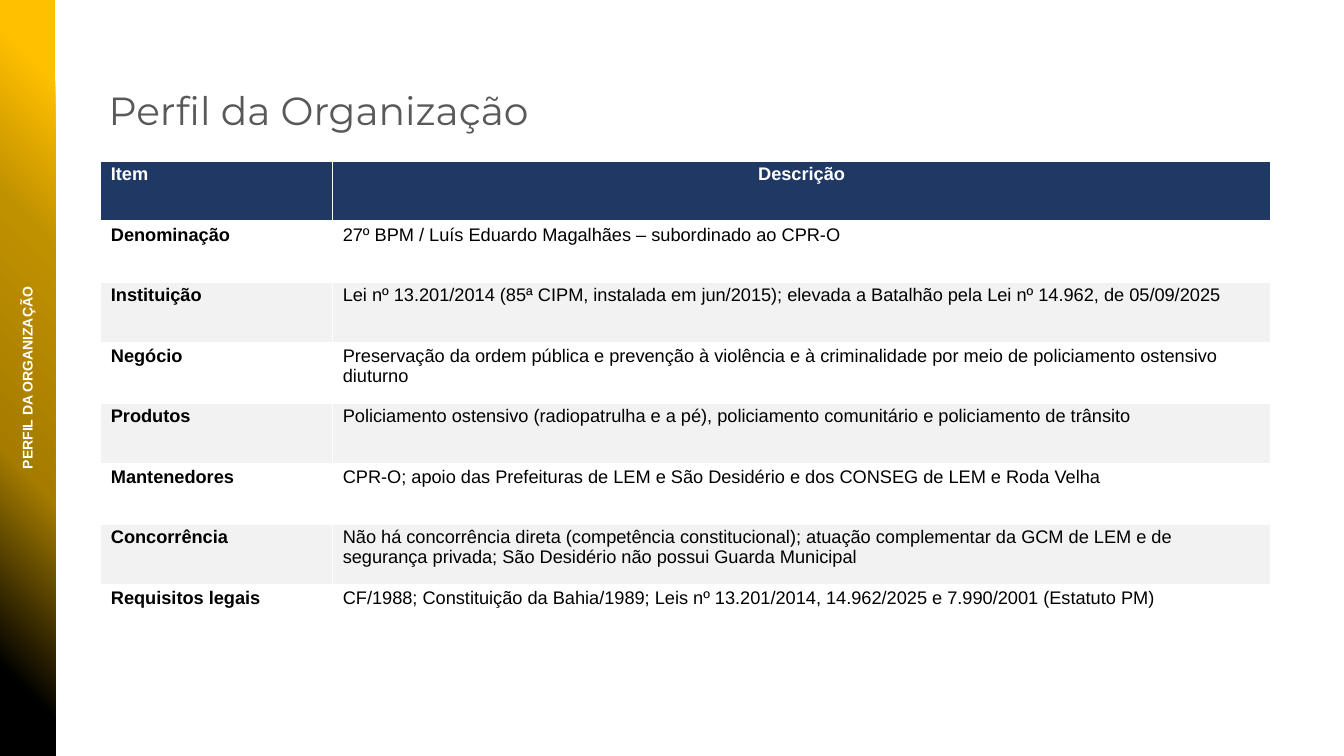
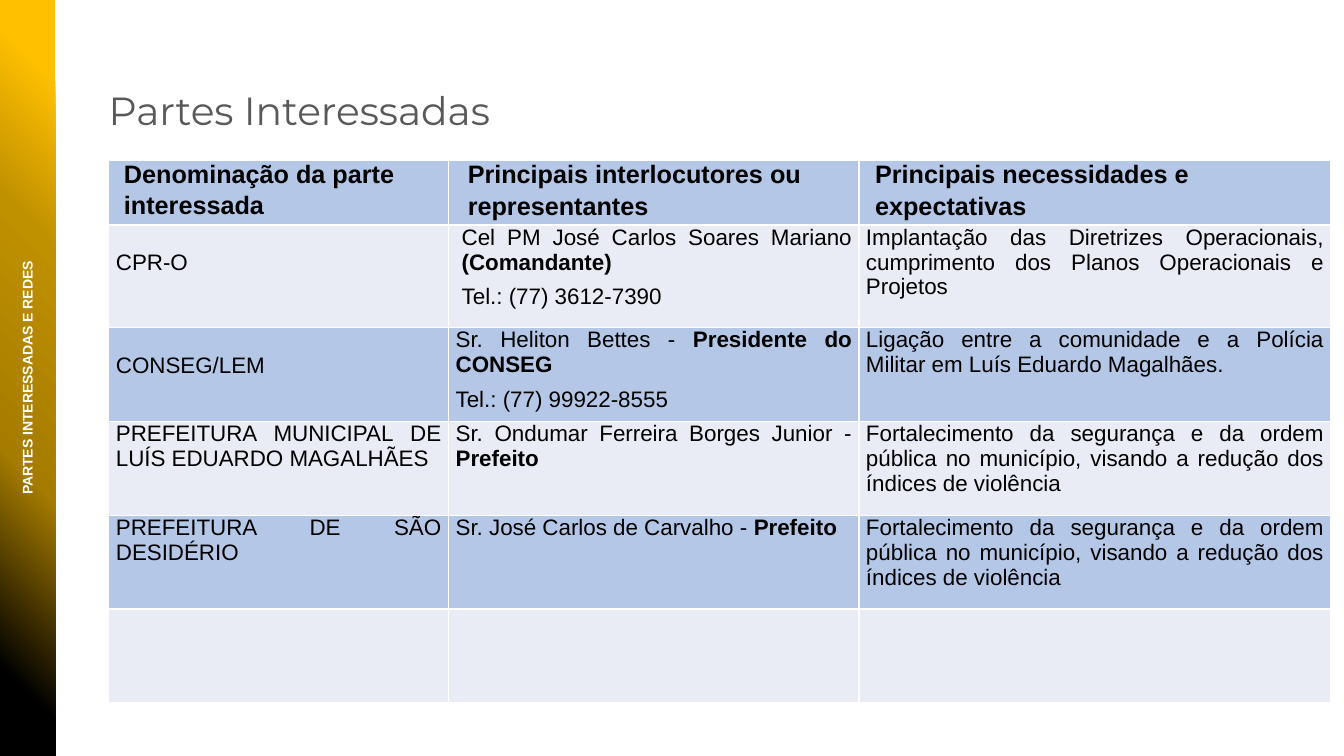
from pptx import Presentation
from pptx.dml.color import RGBColor
from pptx.enum.shapes import MSO_SHAPE
from pptx.enum.text import MSO_AUTO_SIZE, PP_ALIGN
from pptx.oxml import parse_xml
from pptx.oxml.ns import nsdecls, qn
from pptx.util import Pt

EMU_PER_PX = 9144  # 100 px to the inch
SLIDE_WIDTH, SLIDE_HEIGHT = 1333, 750
BAND_WIDTH = 55

BLACK = RGBColor(0x00, 0x00, 0x00)
WHITE = RGBColor(0xFF, 0xFF, 0xFF)
TITLE_GRAY = RGBColor(0x59, 0x59, 0x59)
NAVY = RGBColor(0x1F, 0x38, 0x64)
STRIPE_GRAY = RGBColor(0xF2, 0xF2, 0xF2)
LIGHT_BLUE = RGBColor(0xB4, 0xC7, 0xE7)
PALE_BLUE = RGBColor(0xE9, 0xEB, 0xF5)
DARK_GOLD = RGBColor(0xA5, 0x7C, 0x00)
MID_GOLD = RGBColor(0xBF, 0x90, 0x00)
GOLD = RGBColor(0xFF, 0xC0, 0x00)
BAND_STOPS = [(0, BLACK), (11, BLACK), (38, DARK_GOLD),
              (69, MID_GOLD), (90, GOLD), (100, GOLD)]

BODY_FONT, TITLE_FONT = "Arial", "Montserrat"

PROFILE_ROWS = [
    ("Item", "Descrição"),
    ("Denominação", "27º BPM / Luís Eduardo Magalhães – subordinado ao CPR-O"),
    ("Instituição", "Lei nº 13.201/2014 (85ª CIPM, instalada em jun/2015); "
                    "elevada a Batalhão pela Lei nº 14.962, de 05/09/2025"),
    ("Negócio", "Preservação da ordem pública e prevenção à violência e à "
                "criminalidade por meio de policiamento ostensivo diuturno"),
    ("Produtos", "Policiamento ostensivo (radiopatrulha e a pé), "
                 "policiamento comunitário e policiamento de trânsito"),
    ("Mantenedores", "CPR-O; apoio das Prefeituras de LEM e São Desidério "
                     "e dos CONSEG de LEM e Roda Velha"),
    ("Concorrência", "Não há concorrência direta (competência constitucional); "
                     "atuação complementar da GCM de LEM e de segurança privada; "
                     "São Desidério não possui Guarda Municipal"),
    ("Requisitos legais", "CF/1988; Constituição da Bahia/1989; Leis nº 13.201/2014, "
                          "14.962/2025 e 7.990/2001 (Estatuto PM)"),
]

CITY_HALL_NEEDS = ("Fortalecimento da segurança e da ordem pública no município, "
                   "visando a redução dos índices de violência")
STAKEHOLDER_ROWS = [
    ("Denominação da parte\ninteressada",
     "Principais interlocutores ou\nrepresentantes",
     "Principais necessidades e\nexpectativas"),
    ("CPR-O",
     "Cel PM José Carlos Soares Mariano *(Comandante)*\nTel.: (77) 3612-7390",
     "Implantação das Diretrizes Operacionais, cumprimento dos Planos "
     "Operacionais e Projetos"),
    ("CONSEG/LEM",
     "Sr. Heliton Bettes - *Presidente do CONSEG*\nTel.: (77) 99922-8555",
     "Ligação entre a comunidade e a Polícia Militar em Luís Eduardo Magalhães."),
    ("PREFEITURA MUNICIPAL DE LUÍS EDUARDO MAGALHÃES",
     "Sr. Ondumar Ferreira Borges Junior - *Prefeito*", CITY_HALL_NEEDS),
    ("PREFEITURA DE SÃO DESIDÉRIO",
     "Sr. José Carlos de Carvalho - *Prefeito*", CITY_HALL_NEEDS),
    ("", "", ""),
]
STAKEHOLDER_INDENTS = {(0, 0): 8, (0, 1): 12, (0, 2): 9, (1, 1): 6}
LOWERED_CELLS = {(1, 0), (2, 0)}


def px(value):
    return value * EMU_PER_PX


def write_text(text_frame, text, size, font=BODY_FONT, color=BLACK, bold=False,
               align=PP_ALIGN.LEFT, indent=0, gap=0):
    """Write one paragraph per line; parts between asterisks are bold."""
    for index, line in enumerate(text.split("\n")):
        paragraph = text_frame.paragraphs[0] if index == 0 else text_frame.add_paragraph()
        paragraph.alignment = align
        if indent:
            paragraph._p.get_or_add_pPr().set("marL", str(px(indent)))
        if index and gap:
            paragraph.space_before = Pt(gap)
        for position, part in enumerate(line.split("*")):
            if not part:
                continue
            run = paragraph.add_run()
            run.text = part
            run.font.name = font
            run.font.size = Pt(size)
            run.font.color.rgb = color
            run.font.bold = bold or position % 2 == 1


def add_text_box(slide, left, top, width, height, text, rotation=0, **text_format):
    box = slide.shapes.add_textbox(px(left), px(top), px(width), px(height))
    box.rotation = rotation
    box.text_frame.word_wrap = True
    box.text_frame.auto_size = MSO_AUTO_SIZE.SHAPE_TO_FIT_TEXT
    write_text(box.text_frame, text, **text_format)


def add_side_band(slide):
    """Draw the band with a gradient spreading from its bottom left corner."""
    band = slide.shapes.add_shape(MSO_SHAPE.RECTANGLE, 0, 0, px(BAND_WIDTH), px(SLIDE_HEIGHT))
    band.shadow.inherit = False
    band.line.fill.background()
    band.fill.background()
    stops = "".join(f'<a:gs pos="{percent * 1000}"><a:srgbClr val="{color}"/></a:gs>'
                    for percent, color in BAND_STOPS)
    gradient = parse_xml(
        f'<a:gradFill {nsdecls("a")} rotWithShape="1"><a:gsLst>{stops}</a:gsLst>'
        '<a:path path="circle"><a:fillToRect t="100000" r="100000"/></a:path></a:gradFill>')
    properties = band._element.spPr
    properties.replace(properties.find(qn("a:noFill")), gradient)


def add_titled_slide(presentation, title, section):
    slide = presentation.slides.add_slide(presentation.slide_layouts[6])
    add_side_band(slide)
    add_text_box(slide, 98, 81, 951, 57, title, size=28, font=TITLE_FONT, color=TITLE_GRAY)
    add_text_box(slide, -266, 361, 587, 28, section, rotation=270, size=10,
                 color=WHITE, bold=True, align=PP_ALIGN.CENTER)
    return slide


def set_cell_borders(cell, bottom_width=1):
    properties = cell._tc.get_or_add_tcPr()
    for index, side in enumerate("LRTB"):
        width = bottom_width if side == "B" else 1
        properties.insert(index, parse_xml(
            f'<a:ln{side} {nsdecls("a")} w="{Pt(width)}"><a:solidFill>'
            f'<a:srgbClr val="{WHITE}"/></a:solidFill></a:ln{side}>'))


def add_table(slide, left, top, column_widths, row_heights):
    frame = slide.shapes.add_table(len(row_heights), len(column_widths), px(left), px(top),
                                   px(sum(column_widths)), px(sum(row_heights)))
    table = frame.table
    table.first_row = table.horz_banding = False
    for column, width in zip(table.columns, column_widths):
        column.width = px(width)
    for row, height in zip(table.rows, row_heights):
        row.height = px(height)
    return table


def fill_cell(cell, text, fill, side_margin, top_margin, bottom_margin,
              border_bottom=1, **text_format):
    cell.margin_left = cell.margin_right = px(side_margin)
    cell.margin_top, cell.margin_bottom = px(top_margin), px(bottom_margin)
    cell.fill.solid()
    cell.fill.fore_color.rgb = fill
    set_cell_borders(cell, border_bottom)
    write_text(cell.text_frame, text, **text_format)


def add_profile_table(slide):
    table = add_table(slide, 100, 160, [230, 930], [60] * len(PROFILE_ROWS))
    for row, texts in enumerate(PROFILE_ROWS):
        header = row == 0
        fill = NAVY if header else (STRIPE_GRAY, WHITE)[row % 2]
        for column, text in enumerate(texts):
            fill_cell(table.cell(row, column), text, fill, 10, 3, 3,
                      border_bottom=3 if header else 1, size=13,
                      color=WHITE if header else BLACK, bold=header or column == 0,
                      align=PP_ALIGN.CENTER if header and column else PP_ALIGN.LEFT)


def add_stakeholder_table(slide):
    table = add_table(slide, 108, 159, [337, 407, 468], [62, 102] + [93] * 4)
    for row, texts in enumerate(STAKEHOLDER_ROWS):
        header = row == 0
        for column, text in enumerate(texts):
            place = (row, column)
            if header:
                gap = 3 if column else 2
            else:
                gap = 7
            fill_cell(table.cell(row, column), text, (LIGHT_BLUE, PALE_BLUE)[row % 2],
                      7, 25 if place in LOWERED_CELLS else 0, 0,
                      size=18 if header else 16, bold=header, align=PP_ALIGN.JUSTIFY,
                      indent=STAKEHOLDER_INDENTS.get(place, 0), gap=gap)


def main():
    presentation = Presentation()
    presentation.slide_width, presentation.slide_height = px(SLIDE_WIDTH), px(SLIDE_HEIGHT)
    add_profile_table(add_titled_slide(
        presentation, "Perfil da Organização", "PERFIL DA ORGANIZAÇÃO"))
    add_stakeholder_table(add_titled_slide(
        presentation, "Partes Interessadas", "PARTES INTERESSADAS E REDES"))
    presentation.save("out.pptx")


if __name__ == "__main__":
    main()
